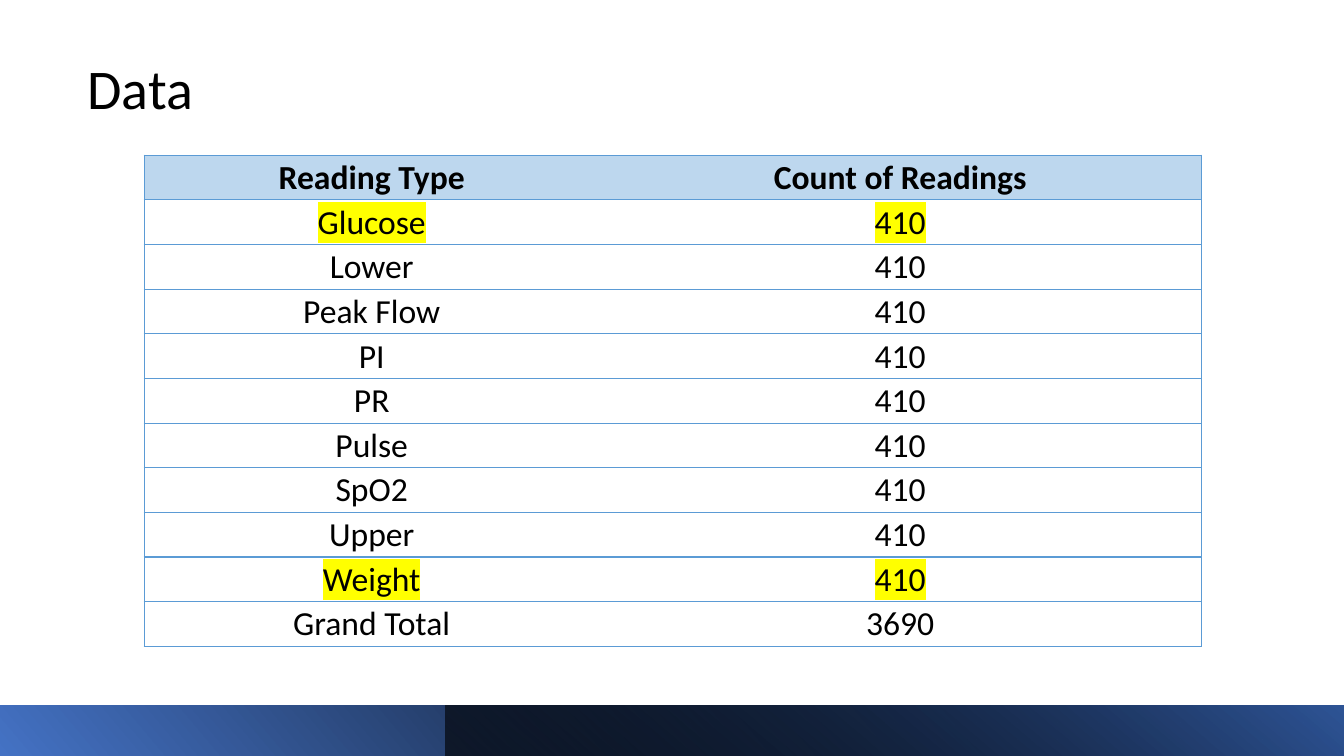
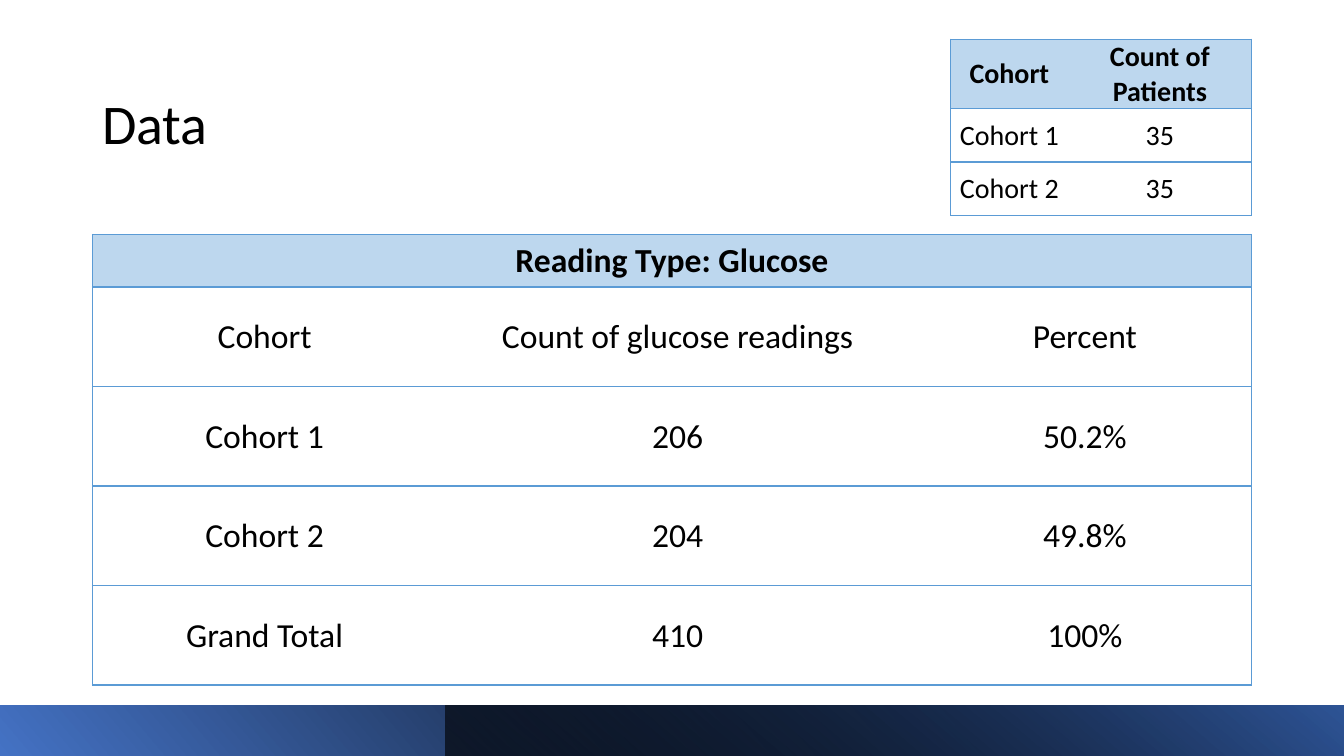
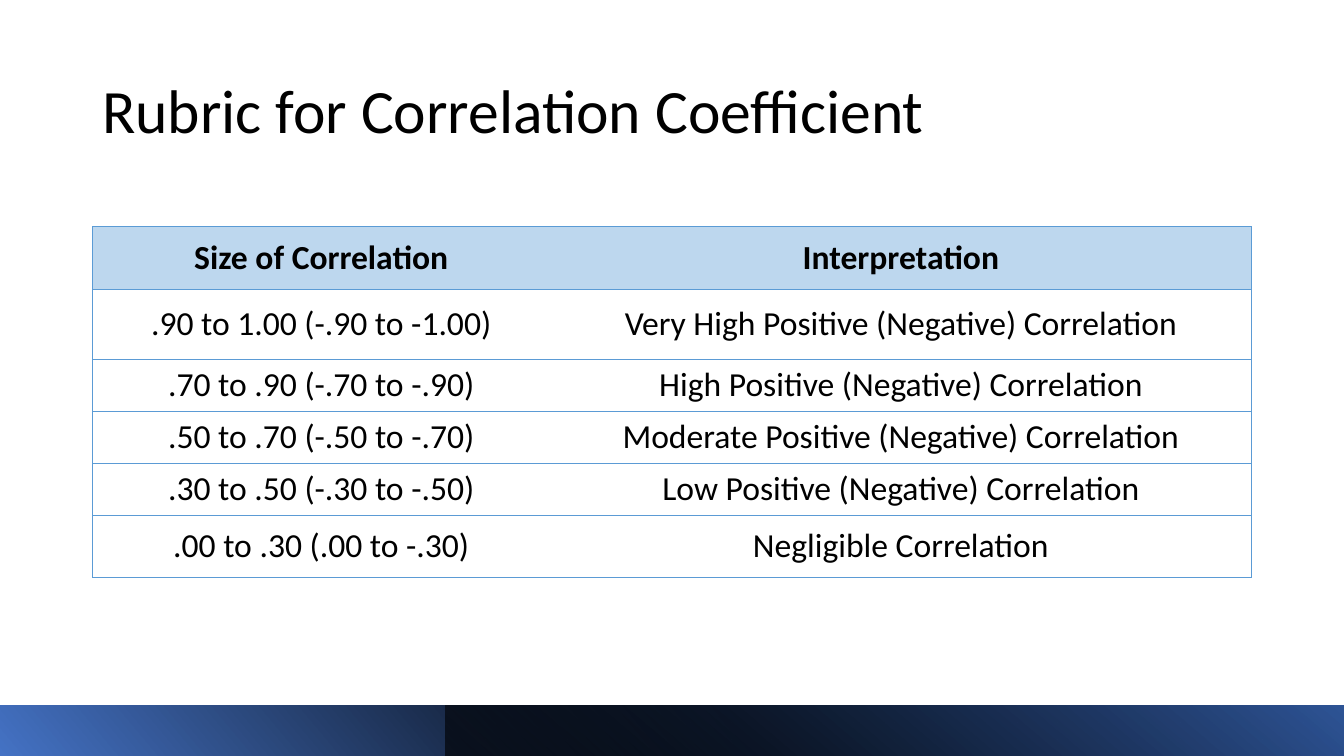
from pptx import Presentation
from pptx.dml.color import RGBColor
from pptx.enum.shapes import MSO_SHAPE as SHAPE
from pptx.enum.text import MSO_ANCHOR as ANCHOR, PP_ALIGN as ALIGN
from pptx.oxml.ns import qn
from pptx.util import Pt
from lxml.etree import SubElement

BLACK = RGBColor(0x00, 0x00, 0x00)
WHITE = RGBColor(0xFF, 0xFF, 0xFF)
BLUE = RGBColor(0x44, 0x72, 0xC4)
NAVY = RGBColor(0x2F, 0x55, 0x97)
HEADER = RGBColor(0xBD, 0xD7, 0xEE)
BORDER = RGBColor(0x5B, 0x9B, 0xD5)
YELLOW = RGBColor(0xFF, 0xFF, 0x00)
FONT = "Calibri"
WIDTH, HEIGHT = 960, 540
BAND_TOP, BAND_SPLIT = 504, 318
TIGHT = (0.7, 0.7, 0.7, 0)
ROOMY = (7.2, 3.6, 7.2, 3.6)

TYPES = ["Glucose", "Lower", "Peak Flow", "PI", "PR", "Pulse", "SpO2", "Upper", "Weight"]
READINGS = dict(
    at=(103, 110.9), cols=[325, 430], heights=[31.9] * 11, marked=("Glucose", "Weight"),
    rows=[("Reading Type", "Count of Readings")]
    + [(name, "410") for name in TYPES]
    + [("Grand Total", "3690")],
)
GLUCOSE = dict(
    at=(66, 167.5), cols=[246, 344, 238], heights=[37.5] + [71.1] * 4,
    rows=[
        ("Reading Type: Glucose",),
        ("Cohort", "Count of glucose readings", "Percent"),
        ("Cohort 1", "206", "50.2%"),
        ("Cohort 2", "204", "49.8%"),
        ("Grand Total", "410", "100%"),
    ],
)
PATIENTS = dict(
    at=(679, 28), cols=[84, 131], heights=[49.5, 38.2, 38.2], size=20,
    rows=[("Cohort", "Count of Patients"), ("Cohort 1", "35"), ("Cohort 2", "35")],
)
RUBRIC = dict(
    at=(66, 161.8), cols=[327, 501], heights=[45, 50, 37, 37, 37, 44.5],
    line=0.5, insets=ROOMY,
    rows=[
        ("Size of Correlation", "Interpretation"),
        (".90 to 1.00 (-.90 to -1.00)", "Very High Positive (Negative) Correlation"),
        (".70 to .90 (-.70 to -.90)", "High Positive (Negative) Correlation"),
        (".50 to .70 (-.50 to -.70)", "Moderate Positive (Negative) Correlation"),
        (".30 to .50 (-.30 to -.50)", "Low Positive (Negative) Correlation"),
        (".00 to .30 (.00 to -.30)", "Negligible Correlation"),
    ],
)
SLIDES = [
    dict(title="Data", box=(55.5, 19.5, 834, 91), size=40, dark=0.78, tables=[READINGS]),
    dict(title="Data", box=(66, 44.5, 556, 91), size=40, dark=0.78, tables=[GLUCOSE, PATIENTS]),
    dict(title="Rubric for Correlation Coefficient", box=(66, 28.8, 828, 104.4), size=44,
         dark=0.56, tables=[RUBRIC]),
]


def style(p, size, bold=False):
    p.font.name, p.font.size, p.font.bold = FONT, Pt(size), bold
    p.font.color.rgb = BLACK


def add_band(s, left, angle, stops):
    sp = s.shapes.add_shape(SHAPE.RECTANGLE, Pt(left), Pt(BAND_TOP),
                            Pt(WIDTH - left), Pt(HEIGHT - BAND_TOP))
    sp.shadow.inherit = False
    sp.line.fill.background()
    sp.fill.gradient()
    sp.fill.gradient_angle = angle
    for stop, (position, color) in zip(sp.fill.gradient_stops, stops):
        stop.position, stop.color.rgb = position, color
    sp.element.spPr.find(qn("a:xfrm")).set("flipH", "1")
    return sp


def add_footer(s, dark):
    add_band(s, 0, 320, [(0, BLUE), (dark, BLACK)]).rotation = 180
    sp = add_band(s, BAND_SPLIT, 130, [(0, BLACK), (1, NAVY)])
    first = next(sp.element.spPr.iter(qn("a:srgbClr")))
    SubElement(first, qn("a:alpha"), val="63000")


def add_title(s, text, box, size):
    tf = s.shapes.add_textbox(*map(Pt, box)).text_frame
    tf.word_wrap = True
    tf.vertical_anchor = ANCHOR.MIDDLE
    p = tf.paragraphs[0]
    p.text = text
    p.line_spacing = 0.9
    style(p, size)


def set_borders(cell, visible, width):
    tcPr = cell._tc.get_or_add_tcPr()
    for side in "LRTB":
        ln = SubElement(tcPr, qn(f"a:ln{side}"), w=str(Pt(width)))
        if side in visible:
            fill = SubElement(ln, qn("a:solidFill"))
            SubElement(fill, qn("a:srgbClr"), val=str(BORDER))
        else:
            SubElement(ln, qn("a:noFill"))


def highlight(r):
    mark = SubElement(r._r.get_or_add_rPr(), qn("a:highlight"))
    SubElement(mark, qn("a:srgbClr"), val=str(YELLOW))


def fill_cell(cell, text, header, size, insets, marked):
    cell.fill.solid()
    cell.fill.fore_color.rgb = HEADER if header else WHITE
    cell.vertical_anchor = ANCHOR.MIDDLE
    cell.margin_left, cell.margin_top, cell.margin_right, cell.margin_bottom = map(Pt, insets)
    p = cell.text_frame.paragraphs[0]
    p.alignment = ALIGN.CENTER
    style(p, size, header)
    if text:
        r = p.add_run()
        r.text = text
        if marked:
            highlight(r)


def add_grid(s, at, cols, heights, rows, size=24, line=1, insets=TIGHT, marked=()):
    frame = s.shapes.add_table(len(rows), len(cols), Pt(at[0]), Pt(at[1]),
                               Pt(sum(cols)), Pt(sum(heights)))
    table = frame.table
    table.first_row = table.horz_banding = False
    for column, width in zip(table.columns, cols):
        column.width = Pt(width)
    last = len(cols) - 1
    for i, (texts, height) in enumerate(zip(rows, heights)):
        table.rows[i].height = Pt(height)
        merged = len(texts) < len(cols)
        for j in range(len(cols)):
            cell = table.cell(i, j)
            left = "L" if j == 0 else ""
            right = "R" if j == last or merged else ""
            set_borders(cell, "TB" + left + right, line)
            text = texts[j] if j < len(texts) else ""
            fill_cell(cell, text, i == 0, size, insets, texts[0] in marked)
        if merged:
            table.cell(i, 0).merge(table.cell(i, last))


def main():
    prs = Presentation()
    prs.slide_width, prs.slide_height = Pt(WIDTH), Pt(HEIGHT)
    for page in SLIDES:
        s = prs.slides.add_slide(prs.slide_layouts[6])
        add_footer(s, page["dark"])
        add_title(s, page["title"], page["box"], page["size"])
        for grid in page["tables"]:
            add_grid(s, **grid)
    prs.save("out.pptx")


if __name__ == "__main__":
    main()
